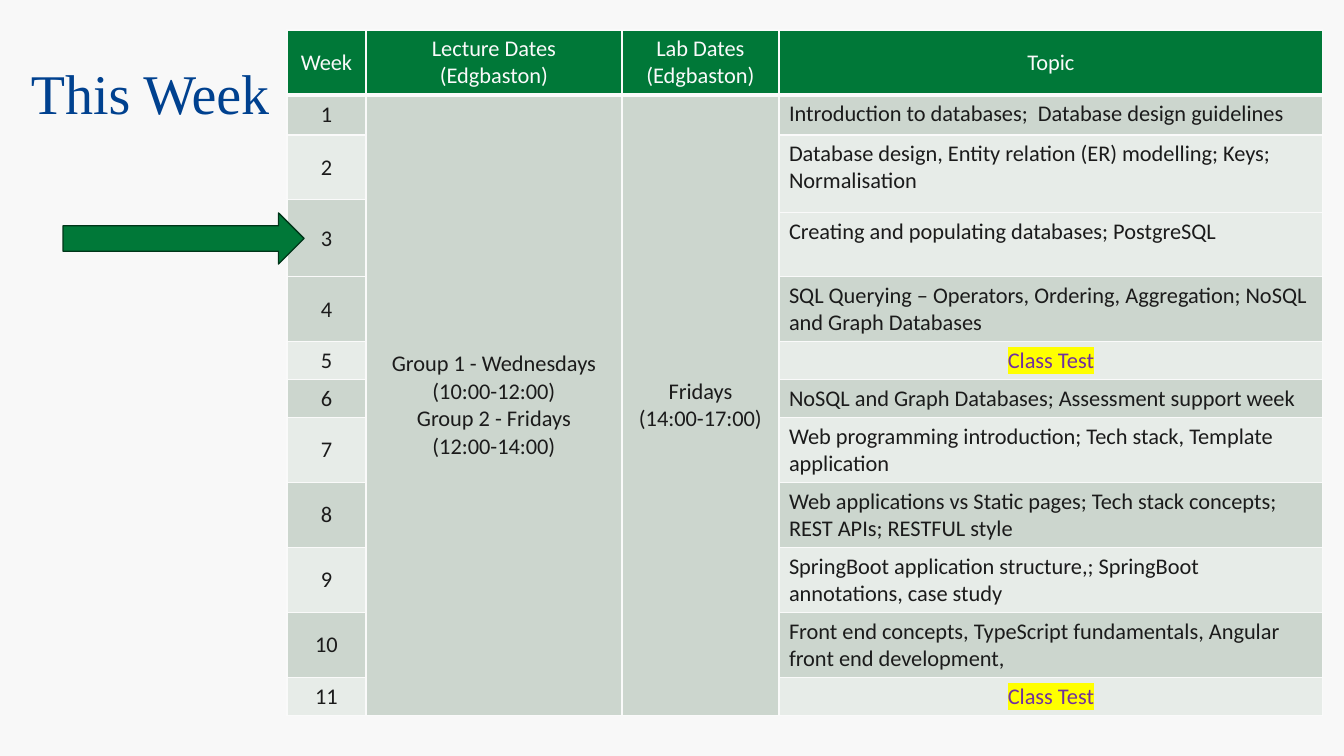
from dataclasses import dataclass

from lxml import etree
from pptx import Presentation
from pptx import util as u
from pptx.dml.color import RGBColor
from pptx.enum import shapes, text
from pptx.oxml import ns

EMU_PER_PX = 914400 / 100.8
CENTER, LEFT = text.PP_ALIGN.CENTER, text.PP_ALIGN.LEFT
MIDDLE, TOP = text.MSO_ANCHOR.MIDDLE, text.MSO_ANCHOR.TOP


@dataclass(frozen=True)
class Theme:
    background: str = "F8F8F8"
    title: str = "00418F"
    green: str = "007838"
    outline: str = "003519"
    light: str = "FAFAFA"
    ink: str = "1B1B1B"
    bands: tuple = ("E7ECE8", "CCD6CE")
    test: str = "7030A0"
    marker: str = "FFFF00"
    title_font: str = "Times New Roman"
    body_font: str = "Calibri"
    title_size: int = 40
    body_size: int = 16


def px(length):
    return u.Emu(round(length * EMU_PER_PX))


def rgb(color):
    return RGBColor.from_string(color)


def add_color(parent, tag, color):
    node = etree.SubElement(parent, ns.qn(tag))
    etree.SubElement(node, ns.qn("a:srgbClr")).set("val", color)
    return node


def write(frame, wording, *, font, size, color, align=LEFT, spacing=None, highlight=None):
    frame.word_wrap = True
    for index, line in enumerate(wording.split("\n")):
        paragraph = frame.add_paragraph() if index else frame.paragraphs[0]
        paragraph.alignment = align
        if spacing:
            paragraph.line_spacing = spacing
        run = paragraph.add_run()
        run.text = line
        run.font.name, run.font.size = font, u.Pt(size)
        run.font.color.rgb = rgb(color)
        if highlight:
            properties = run.font._element
            marker = add_color(properties, "a:highlight", highlight)
            properties.find(ns.qn("a:solidFill")).addnext(marker)


class SlideBuilder:
    def __init__(self, slide, theme):
        self.slide, self.theme = slide, theme
        slide.background.fill.solid()
        slide.background.fill.fore_color.rgb = rgb(theme.background)

    def title(self, wording, *box):
        frame = self.slide.shapes.add_textbox(*map(px, box)).text_frame
        frame.vertical_anchor = MIDDLE
        write(frame, wording, font=self.theme.title_font, size=self.theme.title_size,
              color=self.theme.title, spacing=0.9)

    def arrow(self, *box):
        arrow = self.slide.shapes.add_shape(shapes.MSO_SHAPE.RIGHT_ARROW, *map(px, box))
        arrow.shadow.inherit = False
        arrow.fill.solid()
        arrow.fill.fore_color.rgb = rgb(self.theme.green)
        arrow.line.color.rgb = rgb(self.theme.outline)
        arrow.line.width = u.Pt(1)

    def borders(self, cell, bottom):
        properties = cell._tc.get_or_add_tcPr()
        for index, side in enumerate("LRTB"):
            line = add_line = etree.Element(ns.qn(f"a:ln{side}"))
            line.set("w", str(u.Pt(bottom if side == "B" else 1)))
            add_color(add_line, "a:solidFill", self.theme.light)
            properties.insert(index, line)

    def table(self, left, top, widths, heights, merges, entries):
        table = self.slide.shapes.add_table(
            len(heights), len(widths), px(left), px(top),
            px(sum(widths)), px(sum(heights))).table
        for column, width in zip(table.columns, widths):
            column.width = px(width)
        for row, height in zip(table.rows, heights):
            row.height = px(height)
        for r in range(len(heights)):
            for c in range(len(widths)):
                cell = table.cell(r, c)
                cell.fill.solid()
                cell.fill.fore_color.rgb = rgb(self.theme.bands[r % 2] if r else self.theme.green)
                self.borders(cell, bottom=1 if r else 3)
        for first, last, column in merges:
            table.cell(first, column).merge(table.cell(last, column))
        for (r, c), (wording, anchor, style) in entries.items():
            cell = table.cell(r, c)
            cell.vertical_anchor = anchor
            style = {"color": self.theme.ink if r else self.theme.light, **style}
            write(cell.text_frame, wording, font=self.theme.body_font,
                  size=self.theme.body_size, **style)


HEADINGS = ["Week", "Lecture Dates (Edgbaston)", "Lab Dates (Edgbaston)", "Topic"]
LECTURES = "Group 1 - Wednesdays (10:00-12:00)\nGroup 2 - Fridays\n(12:00-14:00)"
LABS = "Fridays\n(14:00-17:00)"
CLASS_TEST = "Class Test"
TOPICS = [
    "Introduction to databases;  Database design guidelines",
    "Database design, Entity relation (ER) modelling; Keys; Normalisation",
    "Creating and populating databases; PostgreSQL",
    "SQL Querying – Operators, Ordering, Aggregation; NoSQL and Graph Databases",
    CLASS_TEST,
    "NoSQL and Graph Databases; Assessment support week",
    "Web programming introduction; Tech stack, Template application",
    "Web applications vs Static pages; Tech stack concepts; REST APIs; RESTFUL style",
    "SpringBoot application structure,; SpringBoot annotations, case study",
    "Front end concepts, TypeScript fundamentals, Angular front end development,",
    CLASS_TEST,
]
COLUMN_WIDTHS = [79, 256, 157, 544]
ROW_HEIGHTS = [65, 40, 65, 13, 64, 65, 38, 38, 65, 65, 65, 65, 38]
MERGES = [(1, 12, 1), (1, 12, 2), (3, 4, 0), (2, 3, 3)]


def schedule(theme):
    centered = {"align": CENTER}
    test_style = {"align": CENTER, "color": theme.test, "highlight": theme.marker}
    entries = {(0, c): (heading, MIDDLE, centered) for c, heading in enumerate(HEADINGS)}
    entries[1, 1] = (LECTURES, MIDDLE, centered)
    entries[1, 2] = (LABS, MIDDLE, centered)
    for week, topic in enumerate(TOPICS, 1):
        week_row = week + (week > 3)
        topic_row = week + (week > 2)
        entries[week_row, 0] = (str(week), MIDDLE, centered)
        entries[topic_row, 3] = (topic, MIDDLE if week > 5 else TOP,
                                 test_style if topic == CLASS_TEST else {})
    return entries


def main():
    deck = Presentation()
    deck.slide_width, deck.slide_height = px(1344), px(756)
    theme = Theme()
    builder = SlideBuilder(deck.slides.add_slide(deck.slide_layouts[6]), theme)
    builder.title("This Week", 21, 65, 266, 63)
    builder.table(287, 30, COLUMN_WIDTHS, ROW_HEIGHTS, MERGES, schedule(theme))
    builder.arrow(63, 213, 241, 51)
    deck.save("out.pptx")


if __name__ == "__main__":
    main()
